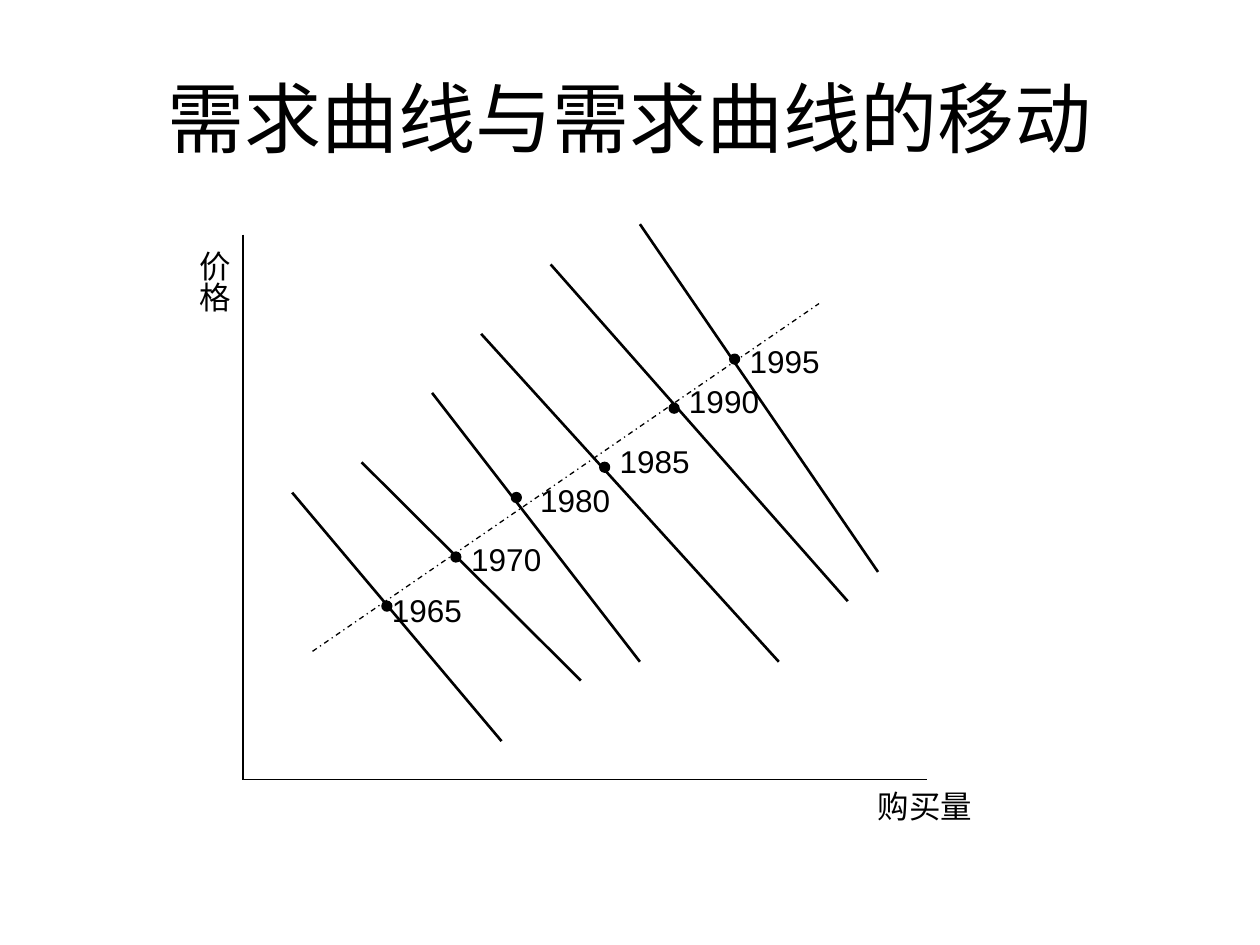
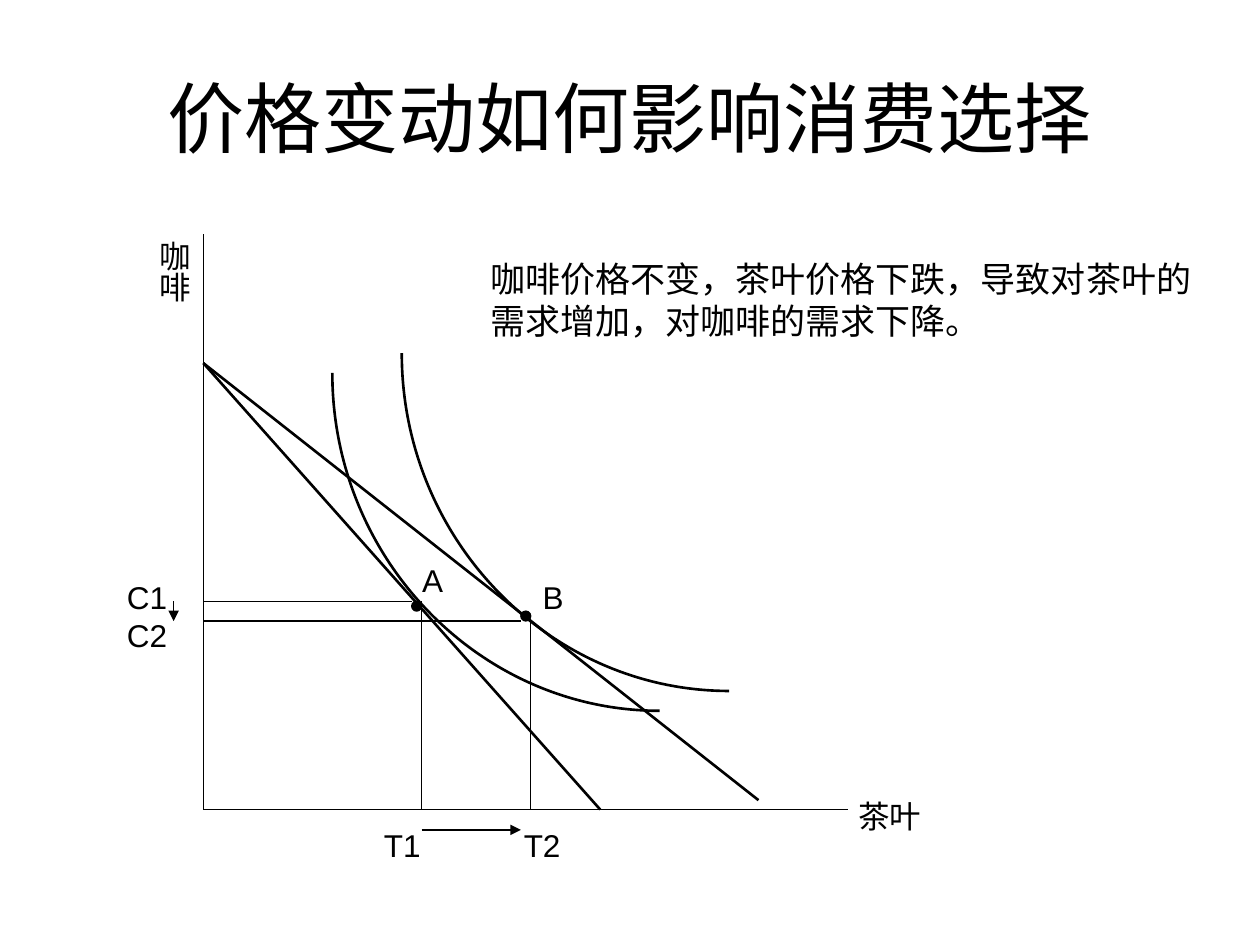
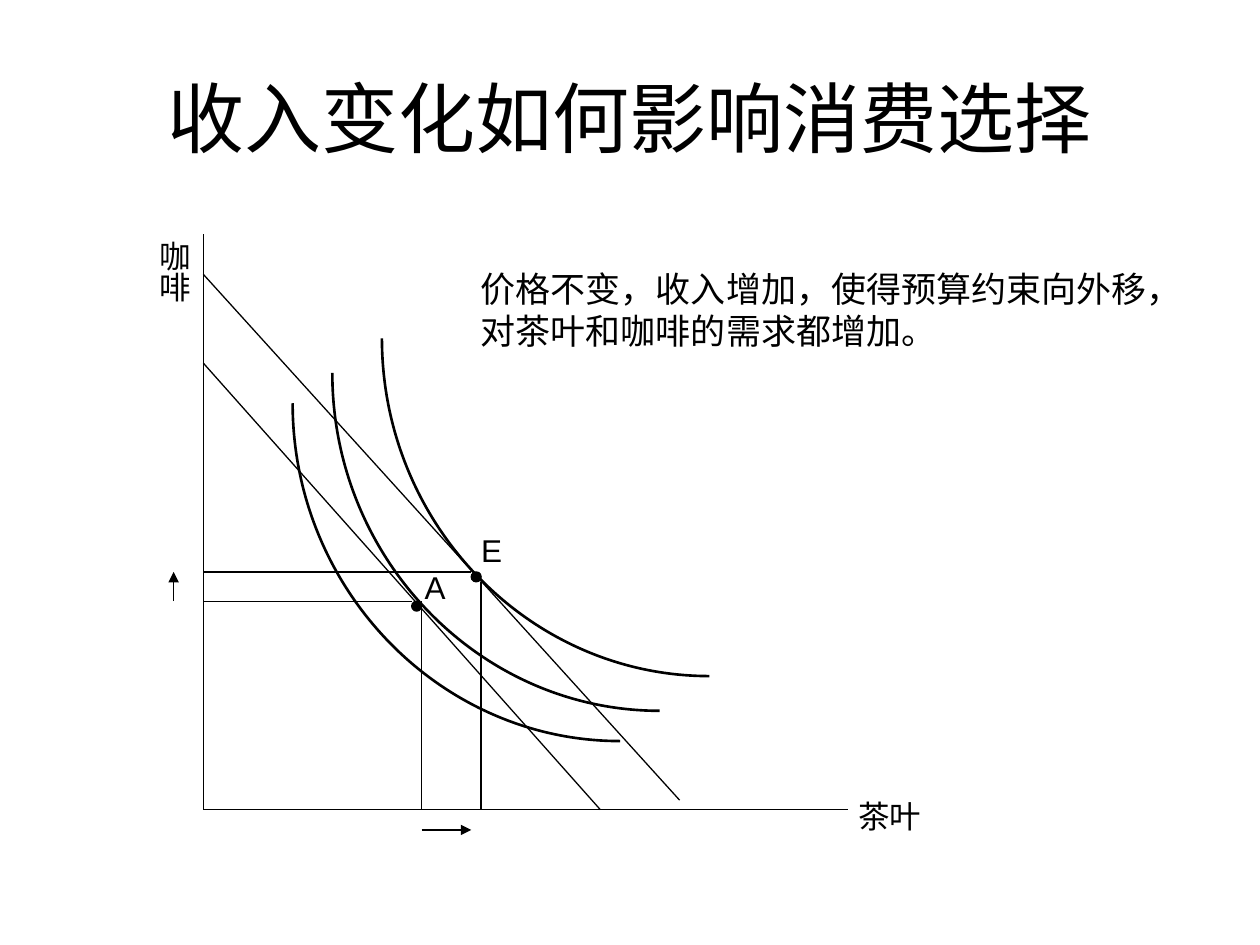
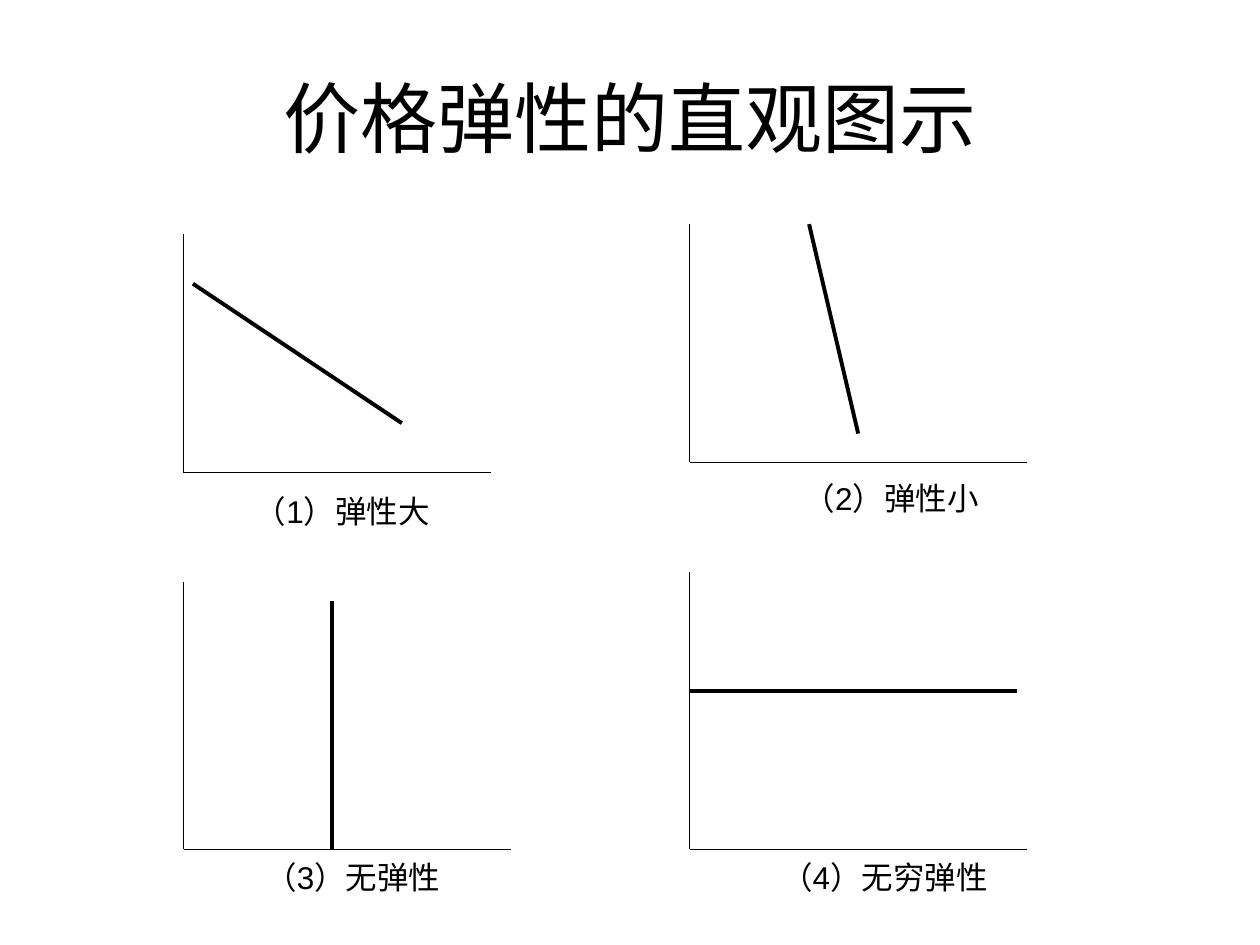
from dataclasses import dataclass

from lxml.etree import SubElement
from pptx import Presentation
from pptx.dml.color import RGBColor
from pptx.enum.dml import MSO_LINE
from pptx.enum.shapes import MSO_CONNECTOR, MSO_SHAPE
from pptx.enum.text import MSO_ANCHOR, MSO_AUTO_SIZE as AutoSize, PP_ALIGN
from pptx.oxml.ns import qn
from pptx.util import Cm, Pt


@dataclass(frozen=True)
class Theme:
    font: str = "Arial"
    ink: RGBColor = RGBColor(0, 0, 0)
    title: Pt = Pt(44)
    note: Pt = Pt(20)
    label: Pt = Pt(18)
    thin: Pt = Pt(0.75)
    medium: Pt = Pt(1.5)
    thick: Pt = Pt(2.25)


theme = Theme()
LABEL_HEIGHT = 1.02
DOT = 0.2


def draw_line(slide, start, end, width=theme.thin, dash=None, arrow=False):
    """Draw a straight line between two (x, y) points in cm."""
    line = slide.shapes.add_connector(
        MSO_CONNECTOR.STRAIGHT, *map(Cm, (*start, *end)))
    line.line.color.rgb = theme.ink
    line.line.width = width
    if dash:
        line.line.dash_style = dash
    if arrow:
        SubElement(line.line._get_or_add_ln(), qn("a:tailEnd"), type="triangle")
    SubElement(line._element.spPr, qn("a:effectLst"))


def write(slide, text, x, y, width, height=LABEL_HEIGHT, size=theme.label, vertical=False):
    """Place unwrapped text in a box given in cm; vertical stacks the characters."""
    frame = slide.shapes.add_textbox(*map(Cm, (x, y, width, height))).text_frame
    frame.text = text
    frame.word_wrap = False
    frame.auto_size = AutoSize.SHAPE_TO_FIT_TEXT
    if vertical:
        frame._txBody.bodyPr.set("vert", "eaVert")
    for paragraph in frame.paragraphs:
        paragraph.font.name = theme.font
        paragraph.font.size = size
        paragraph.font.color.rgb = theme.ink


prs = Presentation()
prs.slide_width, prs.slide_height = Cm(25.4), Cm(19.05)

slides = []
for heading in ("需求曲线与需求曲线的移动", "价格变动如何影响消费选择",
                "收入变化如何影响消费选择", "价格弹性的直观图示"):
    slide = prs.slides.add_slide(prs.slide_layouts[5])
    title = slide.shapes.title
    title.left, title.top, title.width, title.height = map(Cm, (1.27, 0.76, 22.86, 3.18))
    title.text_frame.text = heading
    title.text_frame.vertical_anchor = MSO_ANCHOR.MIDDLE
    title.text_frame.auto_size = AutoSize.NONE
    paragraph = title.text_frame.paragraphs[0]
    paragraph.alignment = PP_ALIGN.CENTER
    paragraph.font.name = theme.font
    paragraph.font.size = theme.title
    paragraph.font.color.rgb = theme.ink
    slides.append(slide)
demand, price_change, income_change, elasticity = slides

# Axes: slide, left, top, bottom, right
CHOICE_X, CHOICE_Y = 4.1, 16.32
axes = [
    (demand, 4.9, 4.73, 15.72, 18.69),
    (price_change, CHOICE_X, 4.72, CHOICE_Y, 17.09),
    (income_change, CHOICE_X, 4.72, CHOICE_Y, 17.09),
    (elasticity, 3.7, 4.72, 9.53, 9.9),
    (elasticity, 13.9, 4.52, 9.32, 20.7),
    (elasticity, 3.7, 11.73, 17.12, 10.31),
    (elasticity, 13.9, 11.53, 17.12, 20.7),
]
for slide, left, top, bottom, right in axes:
    draw_line(slide, (left, top), (left, bottom))
    draw_line(slide, (left, bottom), (right, bottom))

dots = []

# Demand curves through the years
draw_line(demand, (6.3, 13.13), (16.51, 6.12), dash=MSO_LINE.DASH_DOT)
write(demand, "购买量", 17.45, 15.75, 2.43)
write(demand, "价格", 3.55, 4.8, 1.27, 1.52, vertical=True)
# year, dot, label position, curve start, curve end
years = [
    ("1965", (7.7, 12.12), (7.65, 11.79), (5.89, 9.93), (10.11, 14.94)),
    ("1970", (9.09, 11.13), (9.25, 10.77), (7.29, 9.32), (11.71, 13.72)),
    ("1980", (10.31, 9.93), (10.64, 9.58), (8.71, 7.92), (12.9, 13.34)),
    ("1985", (12.09, 9.32), (12.24, 8.79), (9.7, 6.73), (15.7, 13.34)),
    ("1990", (13.49, 8.13), (13.64, 7.57), (11.1, 5.33), (17.09, 12.12)),
    ("1995", (14.71, 7.14), (14.86, 6.78), (12.9, 4.52), (17.7, 11.53)),
]
for year, dot, label_at, start, end in years:
    draw_line(demand, start, end, theme.medium)
    write(demand, year, *label_at, 1.95)
    dots.append((demand, dot))

# Consumer choice: budget lines, indifference curves and the two optima
CURVE_WIDTH, CURVE_HEIGHT = 6.6, 6.81
FIRST_OPTIMUM = ((8.3, 12.12), 12.12, 12.12)
# slide, budget width, new budget start and end, curve corners, new optimum
# An optimum is its dot, its level on the vertical axis and the top of its drop line
choices = [
    (price_change, theme.medium, (CHOICE_X, 7.32), (15.29, 16.13),
     [(6.7, 7.52), (8.1, 7.12)], ((10.5, 12.32), 12.52, 12.52)),
    (income_change, theme.thin, (CHOICE_X, 5.53), (13.7, 16.13),
     [(5.9, 8.13), (6.7, 7.52), (7.7, 6.82)], ((9.5, 11.53), 11.53, 11.73)),
]
for slide, budget_width, start, end, corners, new_optimum in choices:
    write(slide, "茶叶", 17.05, 15.95, 1.8)
    write(slide, "咖啡", 2.75, 4.6, 1.27, 1.52, vertical=True)
    draw_line(slide, (CHOICE_X, 7.32), (12.1, CHOICE_Y), budget_width)
    draw_line(slide, start, end, budget_width)

    for x, y in corners:
        builder = slide.shapes.build_freeform(Cm(x + CURVE_WIDTH), Cm(y + CURVE_HEIGHT))
        builder.add_line_segments([(Cm(x), Cm(y))], close=False)
        curve = builder.convert_to_shape()
        curve.shadow.inherit = False
        curve.fill.background()
        curve.line.color.rgb = theme.ink
        curve.line.width = theme.medium
        # Bend the straight segment into a quarter ellipse
        segment = next(curve._element.iter(qn("a:lnTo")))
        outline = segment.getparent()
        outline.remove(segment)
        bend = SubElement(outline, qn("a:cubicBezTo"))
        for across, down in ((0.45, 1), (0, 0.55), (0, 0)):
            SubElement(bend, qn("a:pt"), x=str(int(curve.width * across)),
                       y=str(int(curve.height * down)))

    for (x, y), level, drop_top in (FIRST_OPTIMUM, new_optimum):
        dots.append((slide, (x, y)))
        draw_line(slide, (x, level), (CHOICE_X, level))
        draw_line(slide, (x + DOT, drop_top), (x + DOT, CHOICE_Y))

    (first_x, _), first_level, _ = FIRST_OPTIMUM
    (new_x, _), new_level, _ = new_optimum
    draw_line(slide, (first_x + DOT, 16.73), (new_x, 16.73), arrow=True)
    draw_line(slide, (3.5, first_level), (3.5, new_level), arrow=True)

for slide, text, x, y, width in (
    (price_change, "A", 8.26, 11.18, 0.95),
    (price_change, "B", 10.69, 11.53, 0.95),
    (price_change, "T1", 7.49, 16.52, 1.3),
    (price_change, "T2", 10.31, 16.52, 1.3),
    (income_change, "A", 8.31, 11.33, 0.95),
    (income_change, "E", 9.45, 10.58, 0.95),
):
    write(slide, text, x, y, width)
write(price_change, "C1\nC2", 2.31, 11.53, 1.32, 1.78)

for slide, note, x, y in (
    (price_change, "咖啡价格不变，茶叶价格下跌，导致对茶叶的\n需求增加，对咖啡的需求下降。", 9.63, 5.07),
    (income_change, "价格不变，收入增加，使得预算约束向外移，\n对茶叶和咖啡的需求都增加。", 9.44, 5.26),
):
    write(slide, note, x, y, 14.7, 1.96, theme.note)

# Elasticity: caption, its left, top and width, demand line start and end
for caption, x, y, width, start, end in (
    ("（1）弹性大", 4.89, 9.79, 4.36, (3.89, 5.72), (8.1, 8.53)),
    ("（2）弹性小", 15.95, 9.53, 4.36, (16.31, 4.52), (17.3, 8.74)),
    ("（3）无弹性", 5.1, 17.18, 4.36, (6.7, 12.12), (6.7, 17.12)),
    ("（4）无穷弹性", 15.5, 17.18, 5, (13.9, 13.93), (20.5, 13.93)),
):
    draw_line(elasticity, start, end, theme.thick)
    write(elasticity, caption, x, y, width)

for slide, (x, y) in dots:
    dot = slide.shapes.add_shape(MSO_SHAPE.OVAL, *map(Cm, (x, y, DOT, DOT)))
    dot.shadow.inherit = False
    dot.fill.solid()
    dot.fill.fore_color.rgb = theme.ink
    dot.line.color.rgb = theme.ink
    dot.line.width = theme.thin

prs.save("out.pptx")
